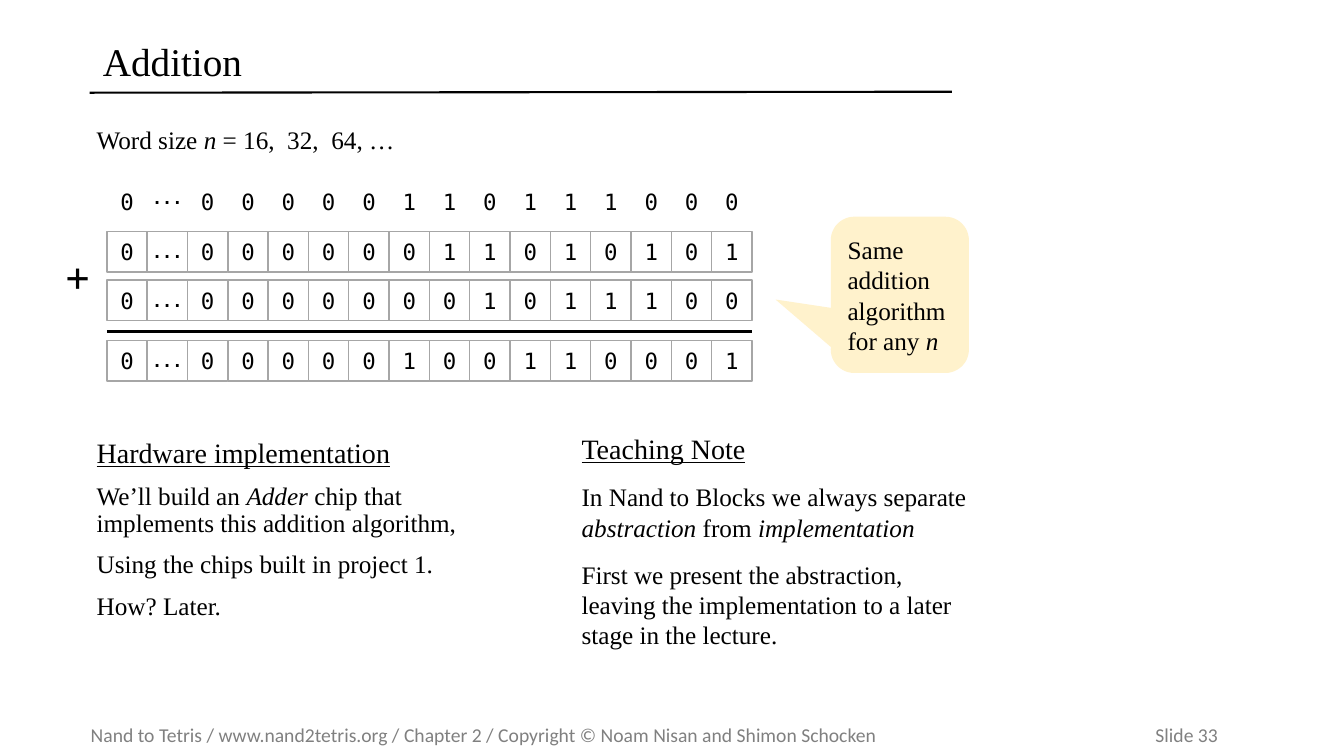
from lxml import etree
from pptx import Presentation
from pptx.dml.color import RGBColor
from pptx.enum.shapes import MSO_CONNECTOR, MSO_SHAPE
from pptx.enum.text import MSO_ANCHOR, MSO_AUTO_SIZE, PP_ALIGN
from pptx.oxml.ns import qn
from pptx.util import Inches, Pt

RECTANGLE = MSO_SHAPE.RECTANGLE
CALLOUT = MSO_SHAPE.ROUNDED_RECTANGULAR_CALLOUT
STRAIGHT = MSO_CONNECTOR.STRAIGHT
TOP, MIDDLE = MSO_ANCHOR.TOP, MSO_ANCHOR.MIDDLE
LEFT, CENTER = PP_ALIGN.LEFT, PP_ALIGN.CENTER
NO_AUTOFIT = MSO_AUTO_SIZE.NONE

COLORS = {"black": "000000", "white": "FFFFFF", "border": "A6A6A6",
          "footer": "808080", "callout": "FFF2CC"}
SERIF, MONO, SANS = "Times New Roman", "DejaVu Sans Mono", "Calibri"
ITALIC = {"italic": True}
HEADING = {"size": Pt(20), "underline": True}

presentation = Presentation()
presentation.slide_width = Inches(13.33)
presentation.slide_height = Inches(7.5)
slide = presentation.slides.add_slide(presentation.slide_layouts[5])
shapes = slide.shapes


def write(shape, paragraphs, font=SERIF, size=18, color="black", align=LEFT,
          anchor=TOP, inset=0.1, line_spacing=1.0, gap=0):
    """Fill a shape with paragraphs, each a list of (text, format) runs."""
    frame = shape.text_frame
    settings = {"word_wrap": True, "auto_size": NO_AUTOFIT,
                "vertical_anchor": anchor, "margin_left": Inches(inset),
                "margin_right": Inches(inset)}
    for name, value in settings.items():
        setattr(frame, name, value)
    for index, runs in enumerate(paragraphs):
        paragraph = frame.add_paragraph() if index else frame.paragraphs[0]
        paragraph.alignment = align
        paragraph.line_spacing = line_spacing
        paragraph.space_before = Pt(gap if index else 0)
        for text, formats in runs:
            run = paragraph.add_run()
            run.text = text
            run.font.color.rgb = RGBColor.from_string(COLORS[color])
            for name, value in {"name": font, "size": Pt(size), **formats}.items():
                setattr(run.font, name, value)


def add_box(kind, left, top, width, height, fill, border=None):
    """Add a flat filled shape, with a thin border if a colour is given."""
    shape = shapes.add_shape(kind, Inches(left), Inches(top), Inches(width), Inches(height))
    shape.shadow.inherit = False
    shape.fill.solid()
    shape.fill.fore_color.rgb = RGBColor.from_string(COLORS[fill])
    if border:
        shape.line.color.rgb = RGBColor.from_string(COLORS[border])
        shape.line.width = Pt(1)
    else:
        shape.line.fill.background()
    return shape


# Title
title = shapes.title
title.left, title.top, title.width, title.height = map(Inches, (0.92, 0.32, 8.53, 0.63))
write(title, [[("Addition", {})]], size=28, anchor=MIDDLE, line_spacing=0.9)

# Binary numbers, one cell per bit; the dots stand for the bits left out
CELL, GRID_LEFT = 0.4, 1.06
ROWS = [  # top, top of the dots, border, bits
    (1.8, 1.76, None, "0.00000110111000"),
    (2.3, 2.3, "border", "0.00000011010101"),
    (2.78, 2.78, "border", "0.00000001011100"),
    (3.38, 3.38, "border", "0.00000100110001"),
]
for row_top, dots_top, border, bits in ROWS:
    for column, bit in enumerate(bits):
        dots = bit == "."
        cell = add_box(RECTANGLE, GRID_LEFT + column * CELL,
                       dots_top if dots else row_top, CELL, CELL, "white", border)
        write(cell, [[("..." if dots else bit, {"bold": dots})]], font=MONO,
              size=12 if dots else 16, align=CENTER, anchor=MIDDLE, inset=0)

plus = add_box(RECTANGLE, 0.57, 2.54, CELL, CELL, "white")
write(plus, [[("+", {})]], font=MONO, size=28, align=CENTER, anchor=MIDDLE, inset=0)

# Rules below the title and above the sum
grid_right = GRID_LEFT + len(ROWS[0][3]) * CELL
for x1, y1, x2, y2, weight in [(0.89, 0.92, 9.44, 0.91, 1.5),
                               (GRID_LEFT, 3.29, grid_right, 3.29, 2)]:
    rule = shapes.add_connector(STRAIGHT, *map(Inches, (x1, y1, x2, y2)))
    rule.line.color.rgb = RGBColor.from_string(COLORS["black"])
    rule.line.width = Pt(weight)
    etree.SubElement(rule._element.spPr, qn("a:effectLst"))

# Callout
callout = add_box(CALLOUT, 8.24, 2.15, 1.37, 1.55, "callout")
for index, value in enumerate((-0.9, 0.03, 0.17)):
    callout.adjustments[index] = value
write(callout, [[("Same addition algorithm for any ", {}), ("n", ITALIC)]], anchor=MIDDLE)

# Text blocks
word_size = [[("Word size ", {}), ("n", ITALIC), (" = 16,  32,  64, …", {})]]
hardware = [
    [("Hardware implementation", HEADING)],
    [("We’ll build an ", {}), ("Adder", ITALIC),
     (" chip that implements this addition algorithm,", {})],
    [("Using the chips built in project 1.", {})],
    [("How? Later.", {})],
]
teaching = [
    [("Teaching Note", HEADING)],
    [("In Nand to Blocks we always separate ", {}), ("abstraction", ITALIC),
     (" from ", {}), ("implementation", ITALIC)],
    [("First we present the abstraction, leaving the implementation "
      "to a later stage in the lecture.", {})],
]
footer = [[("Nand to Tetris / www.nand2tetris.org / Chapter 2 / Copyright © "
            "Noam Nisan and Shimon Schocken\tSlide 33", {})]]
BLOCKS = [
    ((0.86, 1.22, 8.35, 0.94), word_size, {"line_spacing": 0.9}),
    ((0.86, 4.31, 4.31, 2.33), hardware, {"line_spacing": 0.9, "gap": 10}),
    ((5.67, 4.23, 4.07, 2.29), teaching, {"gap": 12}),
    ((0.9, 7.12, 12.25, 0.34), footer, {"font": SANS, "size": 14, "color": "footer",
                                        "anchor": MIDDLE, "inset": 0}),
]
for position, paragraphs, options in BLOCKS:
    text_box = shapes.add_textbox(*map(Inches, position))
    write(text_box, paragraphs, **options)

# Tab stop for the slide number in the footer, the last block
properties = text_box.text_frame.paragraphs[0]._p.get_or_add_pPr()
tab_list = etree.SubElement(properties, qn("a:tabLst"))
etree.SubElement(tab_list, qn("a:tab"), pos=str(Inches(10.56)), algn="l")

presentation.save("out.pptx")
